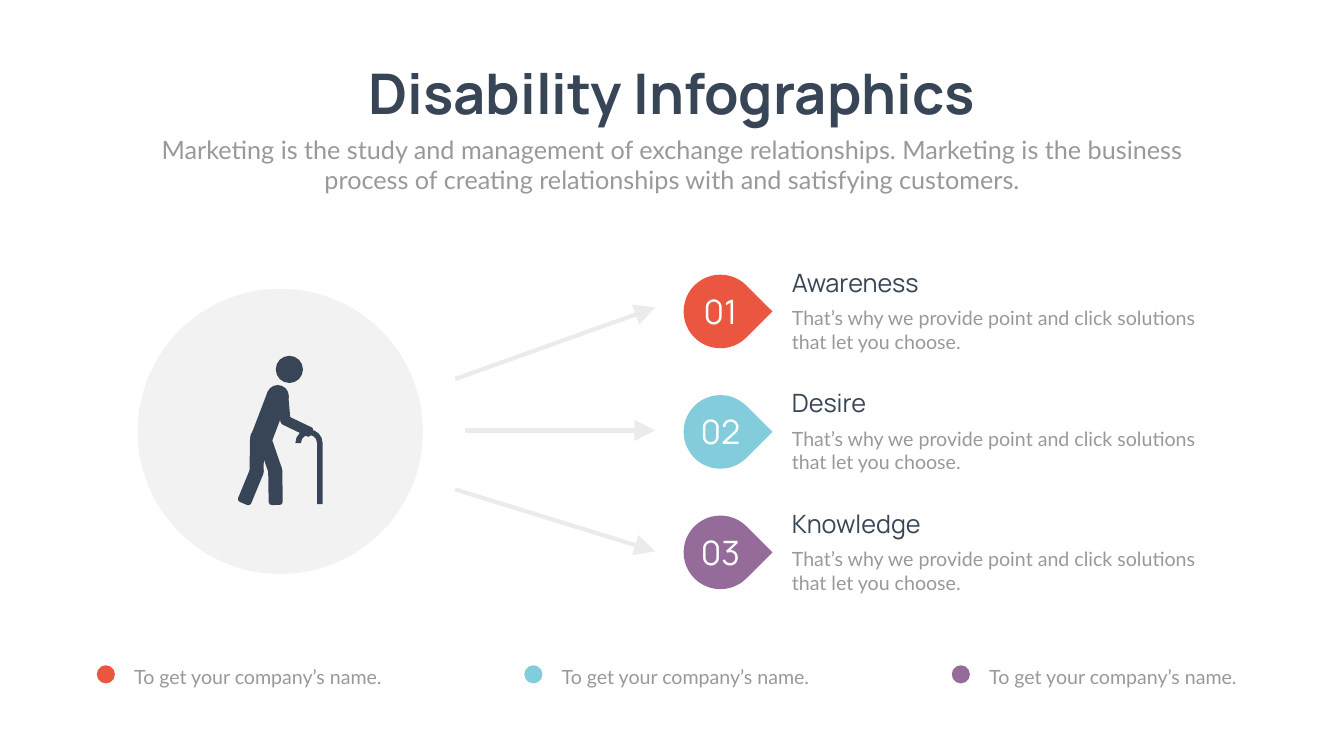
from math import atan2, cos, pi, sin

from lxml.etree import SubElement
from pptx import Presentation
from pptx.dml.color import RGBColor
from pptx.enum.shapes import MSO_CONNECTOR, MSO_SHAPE
from pptx.enum.text import MSO_AUTO_SIZE, PP_ALIGN
from pptx.oxml.ns import qn
from pptx.util import Pt

SCALE = 9144
COLORS = {
    "back": "FEFFFE",
    "dark": "374556",
    "gray": "999999",
    "disc": "F2F2F2",
    "arrow": "EBEBEB",
    "white": "FFFFFF",
    "red": "EB5640",
    "blue": "82CCDB",
    "plum": "956B9A",
}


def color(name):
    return RGBColor.from_string(COLORS[name])


def emu(*sizes):
    return [round(size * SCALE) for size in sizes]


def arc(x, y, radius, start, end, steps):
    turns = [start + (end - start) * i / steps for i in range(steps + 1)]
    return [(x + radius * cos(t), y + radius * sin(t)) for t in turns]


def write(box, text, font="Lato", size=28, ink="gray", bold=False,
          align=PP_ALIGN.LEFT, wrap=True, inset=(10, 5), lead=None):
    frame = box.text_frame
    frame.word_wrap = wrap
    frame.auto_size = MSO_AUTO_SIZE.SHAPE_TO_FIT_TEXT
    side, top = emu(*inset)
    frame.margin_left = frame.margin_right = side
    frame.margin_top = frame.margin_bottom = top
    para = frame.paragraphs[0]
    para.alignment = align
    if lead:
        para.line_spacing = Pt(lead)
    run = para.add_run()
    run.text = text
    run.font.name = font
    run.font.size = Pt(size)
    run.font.bold = bold
    run.font.color.rgb = color(ink)


class Deck:
    def __init__(self, width, height):
        self.show = Presentation()
        self.show.slide_width, self.show.slide_height = emu(width, height)
        self.slide = self.show.slides.add_slide(self.show.slide_layouts[6])
        fill = self.slide.background.fill
        fill.solid()
        fill.fore_color.rgb = color("back")
        self.shapes = self.slide.shapes

    def paint(self, shape, ink):
        shape.shadow.inherit = False
        shape.fill.solid()
        shape.fill.fore_color.rgb = color(ink)
        shape.line.fill.background()

    def text(self, x, y, width, height, text, **style):
        write(self.shapes.add_textbox(*emu(x, y, width, height)), text, **style)

    def dot(self, x, y, size, ink, kind=MSO_SHAPE.OVAL, turn=0):
        shape = self.shapes.add_shape(kind, *emu(x, y, size, size))
        shape.rotation = turn
        self.paint(shape, ink)

    def arrow(self, x1, y1, x2, y2):
        line = self.shapes.add_connector(MSO_CONNECTOR.STRAIGHT, *emu(x1, y1, x2, y2))
        line.line.color.rgb = color("arrow")
        line.line.width = Pt(6)
        props = line._element.spPr
        SubElement(props.find(qn("a:ln")), qn("a:tailEnd"),
                   type="triangle", w="lg", len="lg")
        SubElement(props, qn("a:effectLst"))

    def outline(self, points):
        first, *rest = [emu(*point) for point in points]
        form = self.shapes.build_freeform(*first, scale=1.0)
        form.add_line_segments(rest, close=True)
        self.paint(form.convert_to_shape(), "dark")

    def joint(self, x, y, radius):
        self.outline(arc(x, y, radius, 0, 2 * pi, 16)[:-1])

    def limb(self, x1, y1, x2, y2, radius, corner):
        way = atan2(y2 - y1, x2 - x1)
        gap = radius - corner
        x, y = x2 - corner * cos(way), y2 - corner * sin(way)
        dx, dy = gap * sin(way), -gap * cos(way)
        points = arc(x1, y1, radius, way + pi / 2, way + 3 * pi / 2, 6)
        points += arc(x + dx, y + dy, corner, way - pi / 2, way, 2)
        points += arc(x - dx, y - dy, corner, way, way + pi / 2, 2)
        self.outline(points)

    def cane(self, x, y, foot, outer, inner):
        points = [(x + outer, foot), (x + inner, foot)]
        points += arc(x, y, inner, 0, -pi, 6)
        points += arc(x, y, outer, -pi, 0, 8)
        self.outline(points)


def main():
    deck = Deck(2666, 1500)
    deck.text(671, 112, 1324, 145, "Disability Infographics", font="Manrope",
              size=80, ink="dark", bold=True, align=PP_ALIGN.CENTER, wrap=False)
    deck.text(292, 261, 2082, 131,
              "Marketing is the study and management of exchange relationships. "
              "Marketing is the business process of creating relationships "
              "with and satisfying customers.",
              size=36, align=PP_ALIGN.CENTER)

    deck.dot(273, 573, 566, "disc")
    for ends in ((903, 752, 1300, 610), (922, 854, 1300, 854), (903, 971, 1300, 1094)):
        deck.arrow(*ends)

    steps = (("Awareness", "red"), ("Desire", "blue"), ("Knowledge", "plum"))
    for i, (name, ink) in enumerate(steps):
        y = 525 + 239 * i
        deck.dot(1356, y + 20, 146, ink, MSO_SHAPE.TEAR, 45)
        deck.text(1326, y + 47, 206, 91, f"{i + 1:02}", font="Manrope",
                  size=48, ink="white", align=PP_ALIGN.CENTER)
        deck.text(1561, y, 441, 71, name, font="Manrope", size=36, ink="dark")
        deck.text(1561, y + 78, 833, 104,
                  "That’s why we provide point and click solutions that let you choose.")

        x = 192 + 848 * i
        deck.dot(x, 1320, 36, ink)
        deck.text(x + 50, 1297, 579, 75, "To get your company’s name.",
                  inset=(24, 12), lead=40.8)

    limbs = (
        (566, 834, 618, 859, 10, 4),
        (562, 787, 567, 844, 10, 10),
        (509, 936, 483, 999, 14, 6),
        (509, 936, 510, 868, 14, 6),
        (546, 934, 524, 870, 14, 6),
        (546, 934, 547, 1002, 14, 6),
    )
    for limb in limbs:
        deck.limb(*limb)
    for joint in ((574, 733, 27), (518, 870, 22), (551, 786, 22)):
        deck.joint(*joint)
    deck.outline(((537, 882), (497, 866), (531, 777), (571, 793)))
    deck.cane(613, 879, 1000, 27, 16)
    deck.show.save("out.pptx")


if __name__ == "__main__":
    main()
